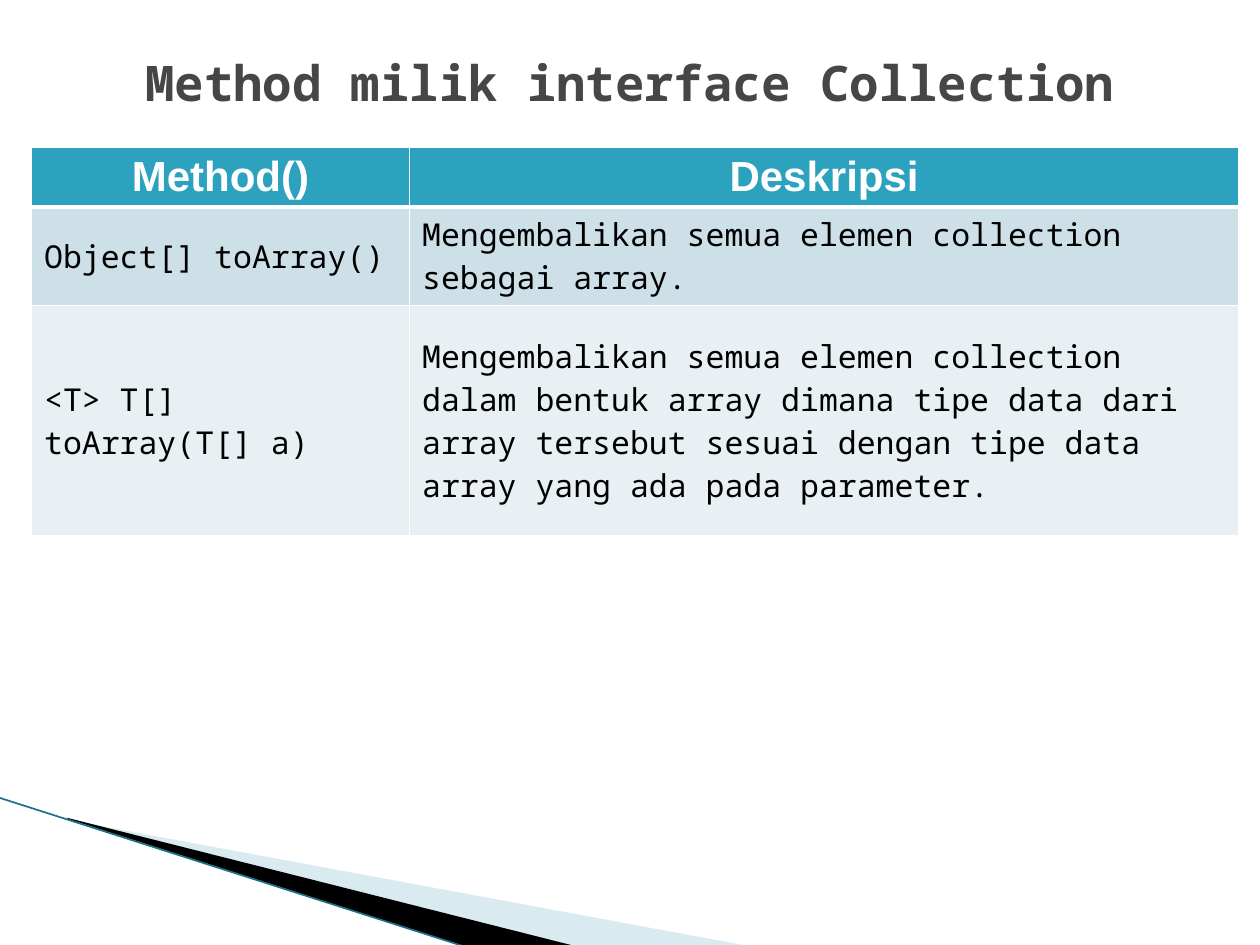
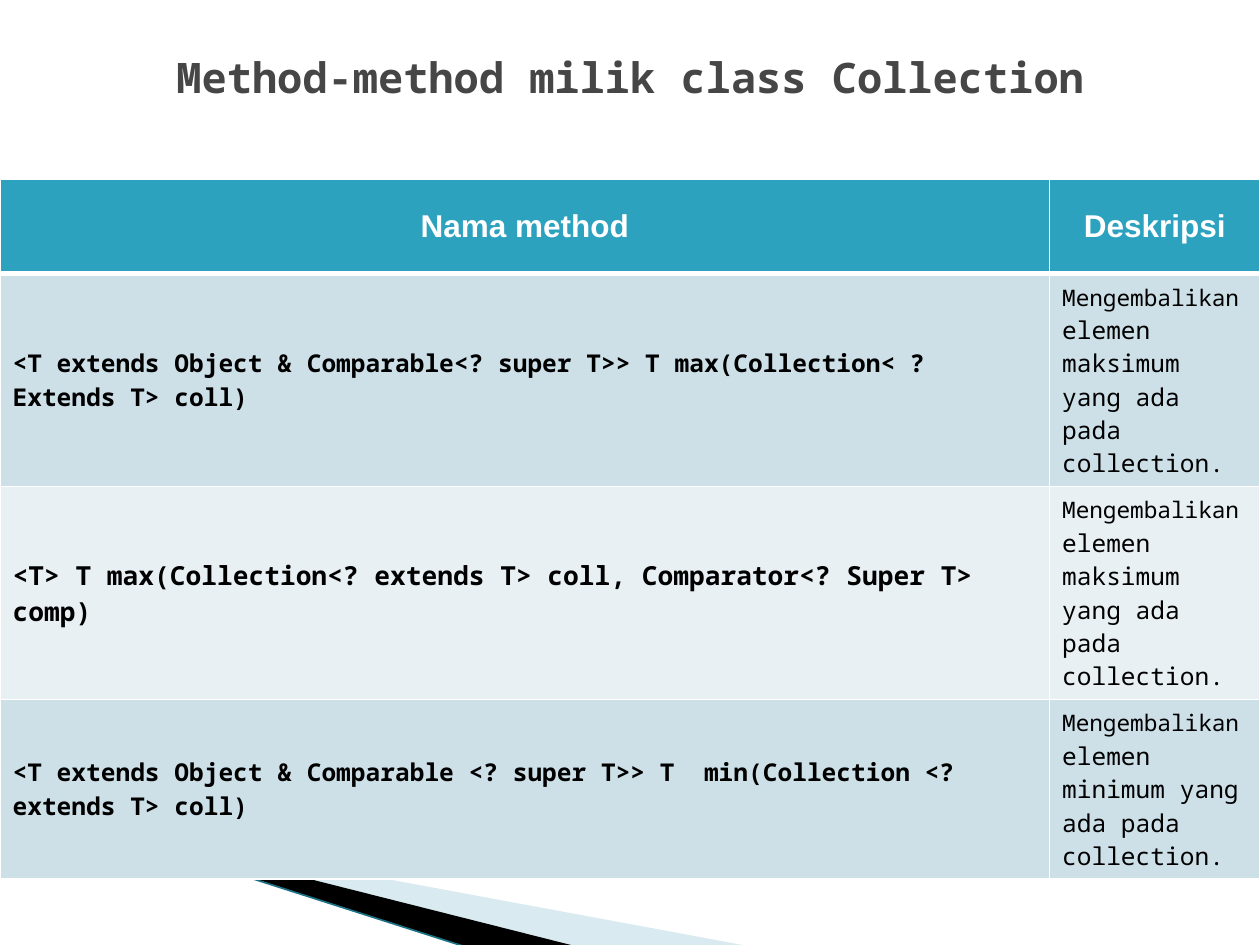
from lxml import etree
from pptx import Presentation
from pptx.dml.color import RGBColor
from pptx.enum.shapes import MSO_CONNECTOR
from pptx.enum.text import MSO_ANCHOR, PP_ALIGN
from pptx.oxml.ns import qn
from pptx.util import Inches, Pt

CENTER, LEFT = PP_ALIGN.CENTER, PP_ALIGN.LEFT
MIDDLE = MSO_ANCHOR.MIDDLE
STRAIGHT = MSO_CONNECTOR.STRAIGHT
TITLE_ONLY = 5

COLORS = {
    "title": "464646",
    "header": "2DA2BF",
    "band_dark": "CDE0E8",
    "band_light": "E8F0F4",
    "white": "FFFFFF",
    "black": "000000",
    "wedge": "A0CBDC",
    "edge": "1B7285",
}
SANS, MONO = "Arial", "Noto Sans Mono"


def rgb(name):
    """Return the named colour."""
    return RGBColor.from_string(COLORS[name])


def style_font(font, name, color, bold, size=None):
    """Set the face, colour, weight and optional size of a font."""
    font.name = name
    font.color.rgb = rgb(color)
    font.bold = bold
    if size:
        font.size = Pt(size)


def add_wedge(s, points, color, alpha=None):
    """Draw a filled outline through points given in inches."""
    start, *rest = [(Inches(x), Inches(y)) for x, y in points]
    builder = s.shapes.build_freeform(*start, scale=1.0)
    builder.add_line_segments(rest, close=True)
    shape = builder.convert_to_shape()
    shape.shadow.inherit = False
    shape.fill.solid()
    shape.fill.fore_color.rgb = rgb(color)
    shape.line.fill.background()
    if alpha:
        clr = shape.fill._xPr.find(".//" + qn("a:srgbClr"))
        etree.SubElement(clr, qn("a:alpha"), val=str(alpha * 1000))


def add_corner(s):
    """Draw the wedges and the edge line in the lower left corner."""
    add_wedge(s, [(0.55, 6.51), (5.95, 7.51), (4.56, 7.51), (0.55, 6.5)], "wedge", 40)
    add_wedge(s, [(0.53, 6.49), (4.57, 7.51), (3.72, 7.52), (0.54, 6.5)], "black")
    line = s.shapes.add_connector(
        STRAIGHT, Inches(-0.01), Inches(6.33), Inches(3.71), Inches(7.52))
    line.line.color.rgb = rgb("edge")
    line.line.width = Pt(0.95)
    etree.SubElement(line._element.spPr, qn("a:effectLst"))


def add_slide(prs, title, size, height):
    """Add a slide with the corner decoration and a centred title."""
    s = prs.slides.add_slide(prs.slide_layouts[TITLE_ONLY])
    add_corner(s)
    sp = s.shapes.title
    sp.left, sp.top = Inches(0.5), Inches(0.3)
    sp.width, sp.height = Inches(9), Inches(height)
    tf = sp.text_frame
    tf.text = title
    tf.word_wrap = True
    tf.vertical_anchor = MIDDLE
    p = tf.paragraphs[0]
    p.alignment = CENTER
    style_font(p.font, MONO, "title", True, size)
    return s


def set_borders(cell, top, bottom):
    """Give a cell white borders, one point wide at the sides."""
    tc_pr = cell._tc.get_or_add_tcPr()
    for side, width in (("L", 1), ("R", 1), ("T", top), ("B", bottom)):
        ln = etree.SubElement(tc_pr, qn(f"a:ln{side}"), w=str(Pt(width)))
        fill = etree.SubElement(ln, qn("a:solidFill"))
        etree.SubElement(fill, qn("a:srgbClr"), val=COLORS["white"])


def fill_cell(cell, runs, row, bold):
    """Write (text, size) runs into a cell and style it by its row."""
    header = row == 0
    set_borders(cell, 3 if row == 1 else 1, 3 if header else 1)
    cell.fill.solid()
    band = "band_dark" if row % 2 else "band_light"
    cell.fill.fore_color.rgb = rgb("header" if header else band)
    cell.vertical_anchor = MIDDLE
    p = cell.text_frame.paragraphs[0]
    p.alignment = CENTER if header else LEFT
    same_size = runs[0][1] if len(runs) == 1 else None
    if header:
        style_font(p.font, SANS, "white", True, same_size)
    else:
        style_font(p.font, MONO, "black", bold, same_size)
    for text, size in runs:
        r = p.add_run()
        r.text = text
        if not same_size:
            r.font.size = Pt(size)


def add_method_table(s, left, top, widths, heights, rows, bold_methods=False):
    """Add a table of methods and their descriptions."""
    frame = s.shapes.add_table(
        len(rows), len(widths), Inches(left), Inches(top),
        Inches(sum(widths)), Inches(sum(heights)))
    table = frame.table
    for column, width in zip(table.columns, widths):
        column.width = Inches(width)
    for i, (height, cells) in enumerate(zip(heights, rows)):
        table.rows[i].height = Inches(height)
        for j, runs in enumerate(cells):
            fill_cell(table.cell(i, j), runs, i, bold_methods and j == 0)


def returns(kind):
    """Return the description runs for a maximum or minimum method."""
    return [("Mengembalikan", 13), (f" elemen {kind} yang ada pada collection.", 14)]


def main():
    """Build and save the presentation."""
    prs = Presentation()
    prs.slide_width, prs.slide_height = Inches(10), Inches(7.5)

    s = add_slide(prs, "Method milik interface Collection", 28, 0.7)
    add_method_table(s, 0.25, 1.17, [3, 6.58], [0.43, 0.75, 1.83], [
        ([("Method()", 24)], [("Deskripsi", 24)]),
        ([("Object[] toArray()", 18)],
         [("Mengembalikan semua elemen collection sebagai array.", 18)]),
        ([("<T> T[]  toArray(T[] a)", 18)],
         [("Mengembalikan semua elemen collection dalam bentuk array dimana "
           "tipe data dari array tersebut sesuai dengan tipe data array yang "
           "ada pada parameter.", 18)]),
    ])

    s = add_slide(prs, "Method-method milik class Collection", 24, 0.62)
    add_method_table(s, 0, 1.42, [8.33, 1.67], [0.75] + [0.94] * 3, [
        ([("Nama method", 18)], [("Deskripsi", 18)]),
        ([("<T extends Object & Comparable<? super T>> T max(Collection< ? "
           "Extends T> coll)", 14)], returns("maksimum")),
        ([("<T> T max(Collection<? extends T> coll, Comparator<? Super "
           "T> comp)", 15)], returns("maksimum")),
        ([("<T extends Object & Comparable <? super T>> T  min(Collection <? "
           "extends T> coll)", 14)], returns("minimum")),
    ], bold_methods=True)

    prs.save("out.pptx")


if __name__ == "__main__":
    main()
